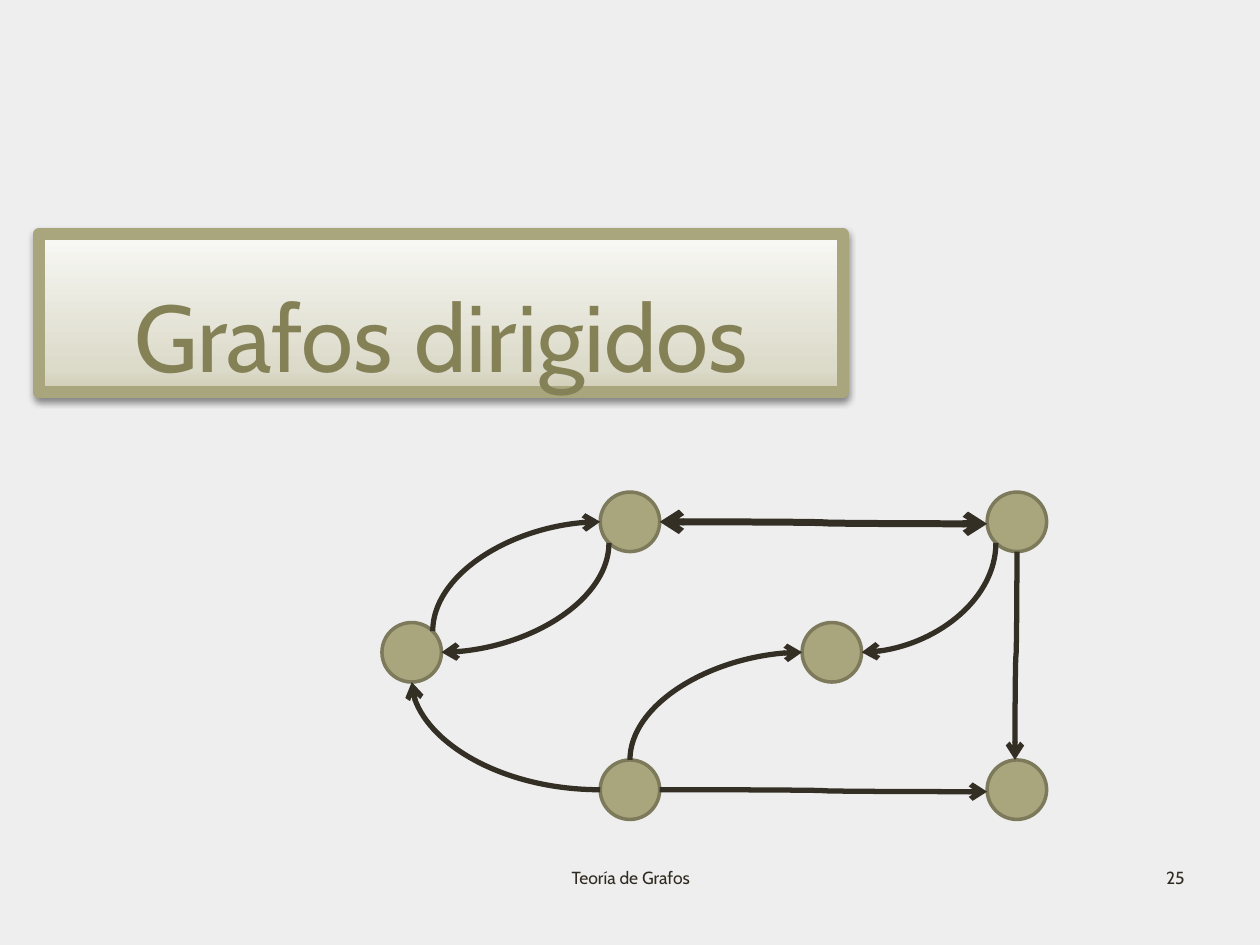
from copy import deepcopy
from math import cos, radians, sin

from lxml.etree import SubElement
from pptx import Presentation
from pptx.dml.color import RGBColor
from pptx.enum.shapes import MSO_CONNECTOR, MSO_SHAPE
from pptx.enum.text import MSO_ANCHOR, MSO_AUTO_SIZE, PP_ALIGN
from pptx.oxml.ns import qn
from pptx.util import Cm, Pt

FONT = "Cabin"
BACKGROUND = RGBColor(0xEE, 0xEE, 0xEE)
INK = RGBColor(0x2F, 0x2B, 0x20)
EDGE = RGBColor(0x34, 0x2F, 0x24)
OLIVE = RGBColor(0xA9, 0xA5, 0x7C)
OLIVE_RIM = RGBColor(0x7D, 0x7A, 0x5C)
TITLE_INK = RGBColor(0x85, 0x81, 0x57)
TITLE_STOPS = [
    (0, RGBColor(0xD0, 0xCD, 0xB5)),
    (0.15, RGBColor(0xDC, 0xDA, 0xC9)),
    (1, RGBColor(0xF8, 0xF8, 0xF5)),
]

# Content (lengths in cm)
TITLE = "Grafos dirigidos"
FOOTERS = [  # text, left, width, alignment
    ("25", 18.21, 5.92, PP_ALIGN.RIGHT),
    ("Teoría de Grafos", 8.69, 8.05, PP_ALIGN.CENTER),
]
RADIUS = 0.6
NODES = {  # name: centre
    "left": (8.3, 13.15),
    "top": (12.7, 10.52),
    "bottom": (12.7, 15.92),
    "middle": (16.77, 13.15),
    "bottom right": (20.5, 15.92),
    "top right": (20.5, 10.52),
}
# Points on a node's rim, in degrees clockwise from the right
E, S, SW, W, N, NE = 0, 90, 135, 180, 270, 315
BEND, STRAIGHT = "curvedConnector2", "curvedConnector3"
EDGES = [  # start, rim point, end, rim point, preset, turn, width, both ways
    ("left", NE, "top", W, BEND, 90, 3, False),
    ("bottom", N, "middle", W, BEND, 90, 3, False),
    ("top right", S, "bottom right", N, STRAIGHT, 90, 3, False),
    ("top right", SW, "middle", E, BEND, 90, 3, False),
    ("bottom", E, "bottom right", W, STRAIGHT, 0, 3, False),
    ("top", SW, "left", E, BEND, 90, 3, False),
    ("bottom", W, "left", S, BEND, 180, 3, False),
    ("top", E, "top right", W, STRAIGHT, 0, 4, True),
]
SKEW = 0.04  # sideways drift of the nearly straight edges


def write(frame, text, size, color, align):
    paragraph = frame.paragraphs[0]
    paragraph.alignment = align
    run = paragraph.add_run()
    run.text = text
    run.font.name = FONT
    run.font.size = Pt(size)
    run.font.color.rgb = color


def rim_point(node, angle):
    x, y = NODES[node]
    return x + RADIUS * cos(radians(angle)), y + RADIUS * sin(radians(angle))


def add_edge(shapes, start, leave, end, arrive, preset, turn, width, both):
    x1, y1 = rim_point(start, leave)
    x2, y2 = rim_point(end, arrive)
    if preset == STRAIGHT:
        x2, y2 = (x2 - SKEW, y2) if turn else (x2, y2 + SKEW)
    # Undo the turn about the centre, so that the rotated frame fits
    center_x, center_y = (x1 + x2) / 2, (y1 + y2) / 2
    dx, dy = x2 - x1, y2 - y1
    dx, dy = {0: (dx, dy), 90: (dy, -dx), 180: (-dx, -dy)}[turn]
    edge = shapes.add_connector(
        MSO_CONNECTOR.CURVE,
        Cm(center_x - dx / 2), Cm(center_y - dy / 2),
        Cm(center_x + dx / 2), Cm(center_y + dy / 2),
    )
    edge.line.color.rgb = EDGE
    edge.line.width = Pt(width)
    properties = edge._element.spPr
    properties.find(qn("a:prstGeom")).set("prst", preset)
    properties.find(qn("a:xfrm")).set("rot", str(turn * 60000))
    line = properties.find(qn("a:ln"))
    for tip in ("a:headEnd", "a:tailEnd") if both else ("a:tailEnd",):
        SubElement(line, qn(tip)).set("type", "arrow")
    SubElement(properties, qn("a:effectLst"))


def format_title(title):
    title.left, title.top, title.width, title.height = Cm(0.79), Cm(4.72), Cm(16.2), Cm(3.18)
    frame = title.text_frame
    frame.auto_size = MSO_AUTO_SIZE.NONE
    frame.word_wrap = True
    frame.vertical_anchor = MSO_ANCHOR.BOTTOM
    frame.margin_bottom = 0
    write(frame, TITLE, 54, TITLE_INK, PP_ALIGN.CENTER)

    # Gradient, palest at the top
    title.fill.gradient()
    title.fill.gradient_angle = 90
    properties = title._element.spPr
    stop_list = properties.find(qn("a:gradFill")).find(qn("a:gsLst"))
    stop_list.append(deepcopy(stop_list[0]))
    for stop, (position, color) in zip(title.fill.gradient_stops, TITLE_STOPS):
        stop.position = position
        stop.color.rgb = color
    title.line.color.rgb = OLIVE
    title.line.width = Pt(7)
    SubElement(properties.find(qn("a:ln")), qn("a:round"))

    # Soft shadow below
    shadow = SubElement(SubElement(properties, qn("a:effectLst")), qn("a:outerShdw"),
                        blurRad=str(Pt(4)), dist=str(Pt(2)), dir="5400000", rotWithShape="0")
    black = SubElement(shadow, qn("a:srgbClr"), val="000000")
    SubElement(black, qn("a:alpha"), val="43000")


def main():
    deck = Presentation()
    deck.slide_width, deck.slide_height = Cm(25.4), Cm(19.05)
    slide = deck.slides.add_slide(deck.slide_layouts[5])
    slide.background.fill.solid()
    slide.background.fill.fore_color.rgb = BACKGROUND
    shapes = slide.shapes

    format_title(shapes.title)

    # Page number and footer
    for text, left, width, align in FOOTERS:
        footer = shapes.add_textbox(Cm(left), Cm(17.35), Cm(width), Cm(1.32))
        footer.text_frame.word_wrap = True
        write(footer.text_frame, text, 10, INK, align)

    # Graph
    for x, y in NODES.values():
        node = shapes.add_shape(MSO_SHAPE.OVAL, Cm(x - RADIUS), Cm(y - RADIUS),
                                Cm(2 * RADIUS), Cm(2 * RADIUS))
        node.shadow.inherit = False
        node.fill.solid()
        node.fill.fore_color.rgb = OLIVE
        node.line.color.rgb = OLIVE_RIM
        node.line.width = Pt(2)
    for edge in EDGES:
        add_edge(shapes, *edge)

    deck.save("out.pptx")


if __name__ == "__main__":
    main()
